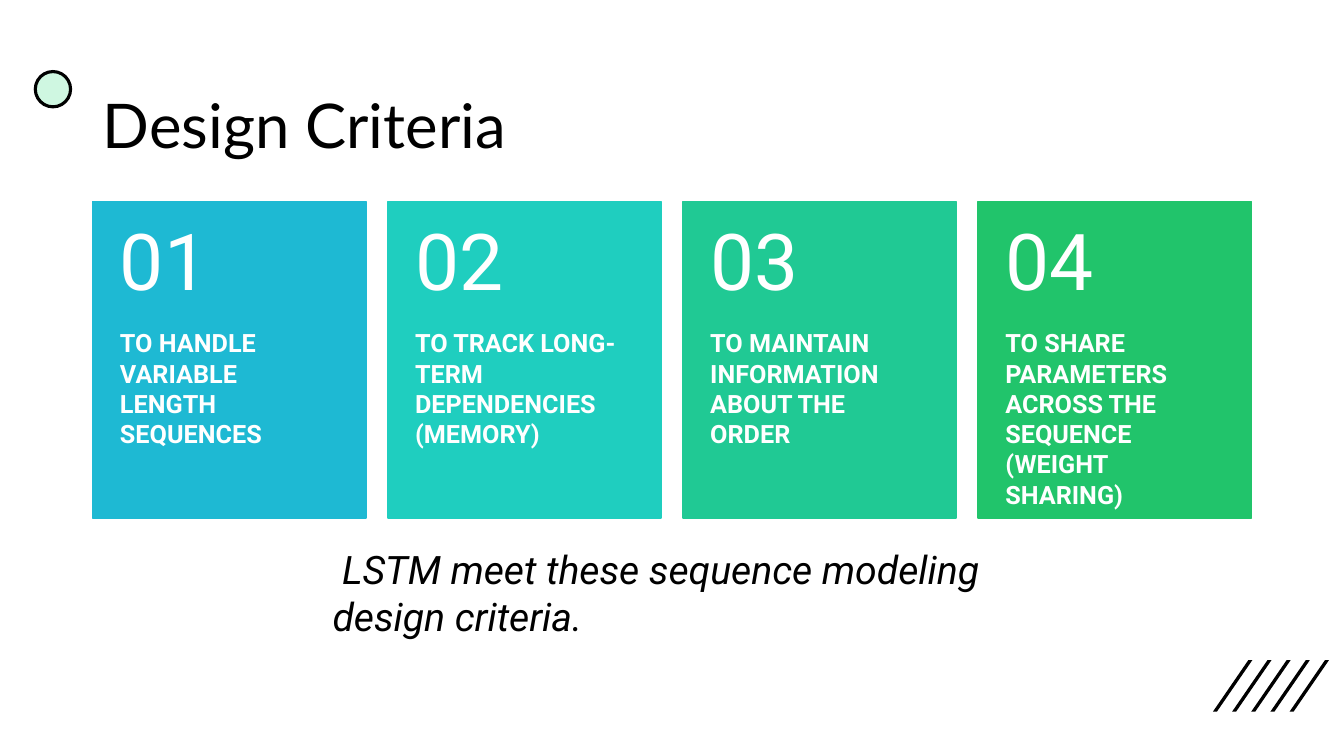
"""Builds the Design Criteria slide: four numbered cards and a closing line."""
import pptx
import pptx.util
import pptx.dml.color
import pptx.enum.shapes
import pptx.enum.text

Inches, Pt = pptx.util.Inches, pptx.util.Pt
Shape = pptx.enum.shapes.MSO_SHAPE
Anchor = pptx.enum.text.MSO_ANCHOR

theme = {
    "ink": "000000", "paper": "FFFFFF", "mint": "CFF7E1",
    "cards": ["1EB9D3", "1FCEBF", "20C994", "21C46B"],
    "head": "Lato", "body": "Roboto",
    "title": 44, "number": 56, "label": 18, "close": 28,
}
labels = [
    "TO HANDLE VARIABLE LENGTH SEQUENCES",
    "TO TRACK LONG-TERM DEPENDENCIES (MEMORY)",
    "TO MAINTAIN INFORMATION ABOUT THE ORDER",
    "TO SHARE PARAMETERS ACROSS THE SEQUENCE (WEIGHT SHARING)",
]
left, top, pitch, width, height = 0.92, 2, 2.927, 2.71, 3.14
split = 1.25


def paint(shape, fill, line=None, weight=1):
    """Give a shape a flat fill and an optional outline."""
    shape.shadow.inherit = False
    shape.fill.solid()
    shape.fill.fore_color.rgb = pptx.dml.color.RGBColor.from_string(fill)
    if line:
        shape.line.color.rgb = pptx.dml.color.RGBColor.from_string(line)
        shape.line.width = Pt(weight)
    else:
        shape.line.fill.background()


def write(box, text, size, color, face="body", pads=None, anchor=Anchor.TOP):
    """Set the text of a box and return its font."""
    frame = box.text_frame
    frame.word_wrap = True
    frame.vertical_anchor = anchor
    if pads:
        side, above, below = pads
        frame.margin_left = frame.margin_right = Inches(side)
        frame.margin_top, frame.margin_bottom = Inches(above), Inches(below)
    line = frame.paragraphs[0]
    line.text = text
    line.alignment = pptx.enum.text.PP_ALIGN.LEFT
    font = line.runs[0].font
    font.name, font.size = theme[face], Pt(theme[size])
    font.color.rgb = pptx.dml.color.RGBColor.from_string(theme[color])
    return font


deck = pptx.Presentation()
deck.slide_width, deck.slide_height = Inches(13.33), Inches(7.5)
slide = deck.slides.add_slide(deck.slide_layouts[5])
shapes = slide.shapes

for step in range(5):
    start = 12.03 + 0.19 * step
    pen = shapes.build_freeform(Inches(start + 0.04), Inches(7.06), scale=1.0)
    corners = [(0, 7.06), (0.35, 6.55), (0.39, 6.55)]
    pen.add_line_segments([(Inches(start + x), Inches(y)) for x, y in corners])
    paint(pen.convert_to_shape(), theme["ink"])

dot = shapes.add_shape(Shape.OVAL, Inches(0.35), Inches(0.71), Inches(0.35), Inches(0.35))
paint(dot, theme["mint"], theme["ink"], 2.25)

title = shapes.title
title.left, title.top = Inches(left), Inches(0.55)
title.width, title.height = Inches(11.5), Inches(1.45)
write(title, "Design Criteria", "title", "ink", "head", anchor=Anchor.MIDDLE)
title.text_frame.paragraphs[0].line_spacing = 0.9

for col, (label, color) in enumerate(zip(labels, theme["cards"])):
    x, wide = Inches(left + col * pitch), Inches(width)
    card = shapes.add_shape(Shape.RECTANGLE, x, Inches(top), wide, Inches(height))
    paint(card, color, color)
    note = shapes.add_textbox(x, Inches(top + split), wide, Inches(height - split))
    write(note, label, "label", "paper", pads=(0.27, 0, 0.36)).bold = True
    count = shapes.add_textbox(x, Inches(top), wide, Inches(split))
    write(count, f"{col + 1:02}", "number", "paper", pads=(0.27, 0.18, 0.18), anchor=Anchor.MIDDLE)
    count.text_frame.paragraphs[0].line_spacing = 0.9

close = shapes.add_textbox(Inches(3.2), Inches(5.36), Inches(6.94), Inches(1.04))
text = " LSTM meet these sequence modeling design criteria."
write(close, text, "close", "ink").italic = True
close.text_frame.auto_size = pptx.enum.text.MSO_AUTO_SIZE.SHAPE_TO_FIT_TEXT

deck.save("out.pptx")
